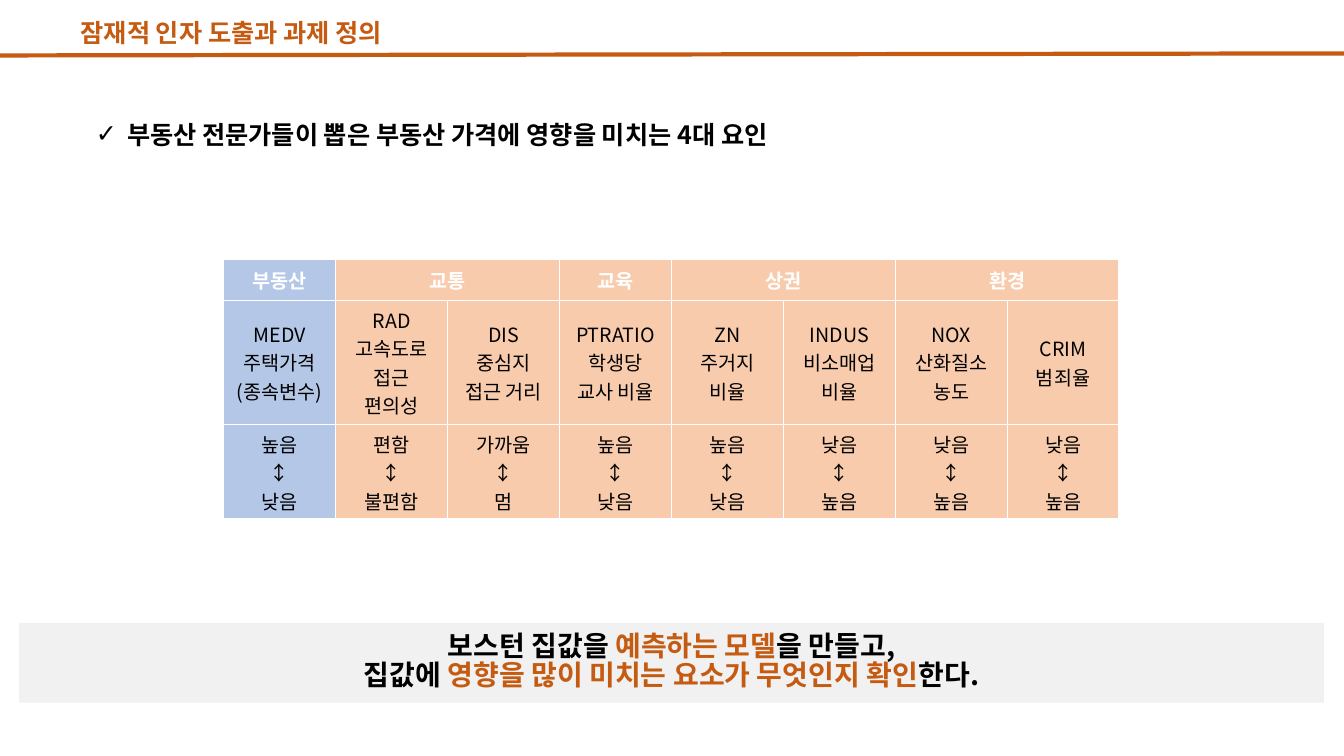
from typing import NamedTuple

from lxml import etree
from pptx import Presentation
from pptx import util as u
from pptx.dml.color import RGBColor
from pptx.enum import shapes, text
from pptx.oxml import ns

FONT = "Noto Sans CJK KR"
RUST = RGBColor(0xC5, 0x5A, 0x11)
PEACH = RGBColor(0xF8, 0xCB, 0xAD)
BLUE = RGBColor(0xB4, 0xC7, 0xE7)
GRAY = RGBColor(0xF1, 0xF1, 0xF1)
BLACK = RGBColor(0, 0, 0)
WHITE = RGBColor(0xFF, 0xFF, 0xFF)


class Box(NamedTuple):
    left: float
    top: float
    width: float
    height: float


class Factor(NamedTuple):
    label: str
    high: str
    low: str


class Group(NamedTuple):
    name: str
    fill: RGBColor
    factors: list[Factor]


class Part(NamedTuple):
    words: str
    color: RGBColor


GROUPS = [
    Group("부동산", BLUE, [Factor("MEDV\n주택가격\n(종속변수)", "높음", "낮음")]),
    Group("교통", PEACH, [
        Factor("RAD\n고속도로 접근 편의성", "편함", "불편함"),
        Factor("DIS\n중심지 접근 거리", "가까움", "멈"),
    ]),
    Group("교육", PEACH, [Factor("PTRATIO\n학생당 교사 비율", "높음", "낮음")]),
    Group("상권", PEACH, [
        Factor("ZN\n주거지 비율", "높음", "낮음"),
        Factor("INDUS\n비소매업 비율", "낮음", "높음"),
    ]),
    Group("환경", PEACH, [
        Factor("NOX\n산화질소 농도", "낮음", "높음"),
        Factor("CRIM\n범죄율", "낮음", "높음"),
    ]),
]
GOAL = [
    [Part("보스턴 집값을 ", BLACK), Part("예측하는 모델", RUST), Part("을 만들고,", BLACK)],
    [Part("집값에 ", BLACK), Part("영향을 많이 미치는 요소가 무엇인지 확인", RUST), Part("한다.", BLACK)],
]
ROWS = [0.41, 1.23, 0.94]
COL = 1.11


def style(run, size: int, color: RGBColor, bold: bool) -> None:
    font = run.font
    font.name, font.size, font.bold = FONT, u.Pt(size), bold
    font.color.rgb = color
    east = etree.SubElement(font._element, ns.qn("a:ea"))
    east.set("typeface", FONT)


def format_all(frame, size: int, color: RGBColor, bold: bool, align) -> None:
    for para in frame.paragraphs:
        para.alignment = align
        for run in para.runs:
            style(run, size, color, bold)


def place(shape, box: Box) -> None:
    shape.left, shape.top, shape.width, shape.height = map(u.Inches, box)


def fill_holder(shape, box: Box, words: str, color: RGBColor, wrap: bool) -> None:
    place(shape, box)
    frame = shape.text_frame
    frame.text = words
    frame.word_wrap = wrap
    frame.auto_size = text.MSO_AUTO_SIZE.SHAPE_TO_FIT_TEXT
    frame.vertical_anchor = text.MSO_ANCHOR.TOP
    frame.paragraphs[0].space_before = u.Pt(0)
    format_all(frame, 18, color, True, text.PP_ALIGN.LEFT)


def add_check(para) -> None:
    props = para._p.get_or_add_pPr()
    props.set("marL", str(u.Inches(0.31)))
    props.set("indent", str(u.Inches(-0.31)))
    mark = etree.SubElement(props, ns.qn("a:buChar"))
    mark.set("char", "✓")


def fill_cell(cell, words: str, fill: RGBColor, color: RGBColor, bold: bool) -> None:
    cell.text_frame.text = words
    cell.vertical_anchor = text.MSO_ANCHOR.MIDDLE
    cell.fill.solid()
    cell.fill.fore_color.rgb = fill
    format_all(cell.text_frame, 14, color, bold, text.PP_ALIGN.CENTER)


def add_grid(slide) -> None:
    count = sum(len(group.factors) for group in GROUPS)
    box = Box(2.22, 2.57, COL * count, sum(ROWS))
    table = slide.shapes.add_table(len(ROWS), count, *map(u.Inches, box)).table
    table.horz_banding = False
    for row, height in zip(table.rows, ROWS):
        row.height = u.Inches(height)
    for column in table.columns:
        column.width = u.Inches(COL)
    col = 0
    for group in GROUPS:
        head = table.cell(0, col)
        last = col + len(group.factors) - 1
        if last > col:
            head.merge(table.cell(0, last))
        fill_cell(head, group.name, group.fill, WHITE, True)
        for factor in group.factors:
            scale = f"{factor.high}\n↕\n{factor.low}"
            for row, words in enumerate([factor.label, scale], 1):
                fill_cell(table.cell(row, col), words, group.fill, BLACK, False)
            col += 1


def add_rule(slide) -> None:
    ends = map(u.Inches, (-0.01, 0.55, 13.33, 0.53))
    rule = slide.shapes.add_connector(shapes.MSO_CONNECTOR.STRAIGHT, *ends)
    rule.line.color.rgb = RUST
    rule.line.width = u.Pt(3)
    etree.SubElement(rule._element.spPr, ns.qn("a:effectLst"))


def add_goal(slide) -> None:
    box = Box(0.19, 6.18, 12.94, 0.79)
    panel = slide.shapes.add_shape(shapes.MSO_SHAPE.RECTANGLE, *map(u.Inches, box))
    panel.shadow.inherit = False
    panel.fill.solid()
    panel.fill.fore_color.rgb = GRAY
    panel.line.fill.background()
    frame = panel.text_frame
    frame.word_wrap = True
    frame.auto_size = text.MSO_AUTO_SIZE.SHAPE_TO_FIT_TEXT
    frame.vertical_anchor = text.MSO_ANCHOR.TOP
    frame.margin_left = frame.margin_right = frame.margin_bottom = 0
    frame.margin_top = u.Inches(0.11)
    for index, parts in enumerate(GOAL):
        para = frame.add_paragraph() if index else frame.paragraphs[0]
        para.alignment = text.PP_ALIGN.CENTER
        para.line_spacing = 0.85
        for part in parts:
            run = para.add_run()
            run.text = part.words
            style(run, 20, part.color, True)


def main() -> None:
    deck = Presentation()
    deck.slide_width, deck.slide_height = u.Inches(13.33), u.Inches(7.5)
    slide = deck.slides.add_slide(deck.slide_layouts[1])
    title, body = slide.placeholders
    fill_holder(title, Box(0.7, 0.12, 3.59, 0.4), "잠재적 인자 도출과 과제 정의", RUST, False)
    fill_holder(body, Box(0.85, 1.13, 10.75, 0.4),
                "부동산 전문가들이 뽑은 부동산 가격에 영향을 미치는 4대 요인", BLACK, True)
    add_check(body.text_frame.paragraphs[0])
    add_grid(slide)
    add_rule(slide)
    add_goal(slide)
    deck.save("out.pptx")


if __name__ == "__main__":
    main()
